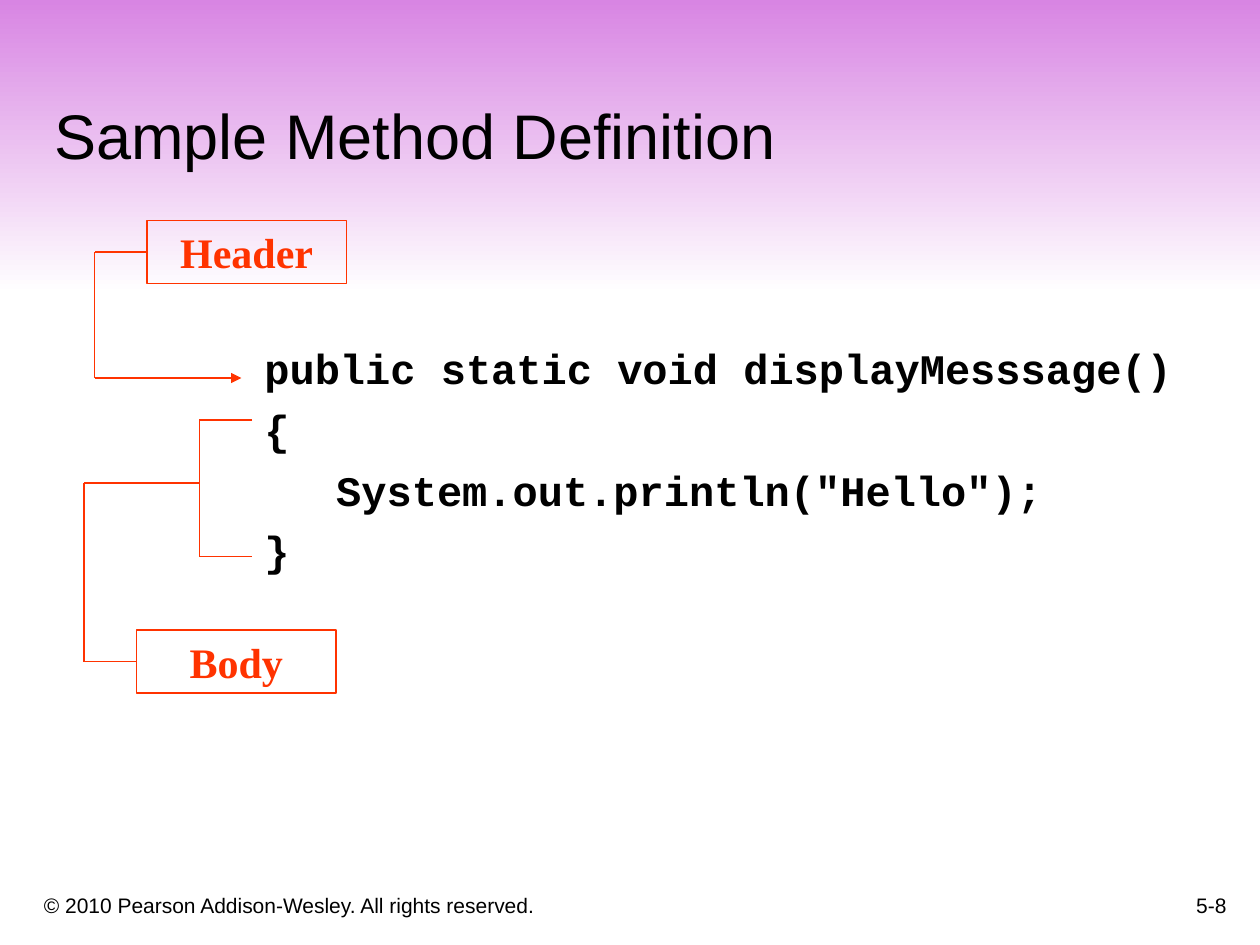
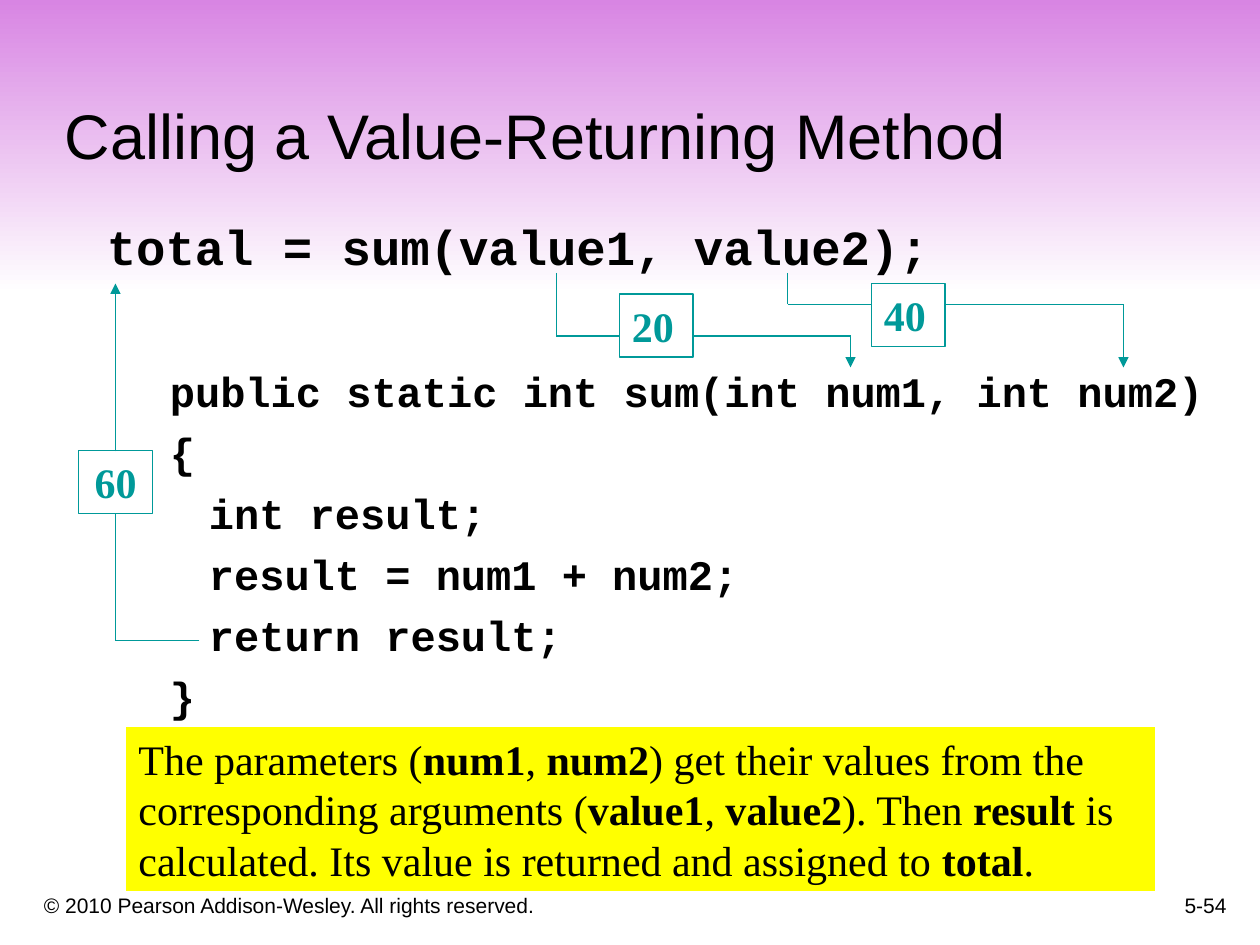
from lxml import etree
from pptx import Presentation
from pptx import util as u
from pptx.dml.color import RGBColor
from pptx.enum import shapes, text
from pptx.oxml import ns

COLORS = {
    "band": "D885E3", "paper": "FFFFFF", "ink": "000000",
    "red": "FF3300", "teal": "009999", "note": "FFFF00",
}
SANS, MONO, SERIF = "Arial", "Courier New", "Times New Roman"
LEFT, CENTER, RIGHT = text.PP_ALIGN.LEFT, text.PP_ALIGN.CENTER, text.PP_ALIGN.RIGHT
TOP, BOTTOM = text.MSO_ANCHOR.TOP, text.MSO_ANCHOR.BOTTOM
LEADING = 1.2

presentation = Presentation()
presentation.slide_width, presentation.slide_height = u.Inches(10), u.Inches(7.5)
# The grid has 120 columns and 90 rows of square cells.
CELL = presentation.slide_width / 120


def add_text(slide, area, lines, font, align=LEFT, anchor=TOP,
             color="ink", outline=None, fill=None):
    """Place lines of (size, space before, indent, [(words, bold), ...]) in a grid area."""
    shape = slide.shapes.add_shape(
        shapes.MSO_SHAPE.RECTANGLE, *[round(cells * CELL) for cells in area])
    shape.shadow.inherit = False
    if fill:
        shape.fill.solid()
        shape.fill.fore_color.rgb = RGBColor.from_string(COLORS[fill])
    else:
        shape.fill.background()
    if outline:
        shape.line.color.rgb = RGBColor.from_string(COLORS[outline])
        shape.line.width = u.Pt(0.75)
    else:
        shape.line.fill.background()
    frame = shape.text_frame
    frame.word_wrap = True
    frame.vertical_anchor = anchor
    for number, (size, before, indent, runs) in enumerate(lines):
        paragraph = frame.add_paragraph() if number else frame.paragraphs[0]
        paragraph.alignment = align
        paragraph.space_before = u.Pt(before)
        paragraph.line_spacing = u.Pt(size * LEADING)
        paragraph._p.get_or_add_pPr().set("marL", str(u.Inches(indent)))
        for words, bold in runs:
            run = paragraph.add_run()
            run.text = words
            run.font.name, run.font.size, run.font.bold = font, u.Pt(size), bold
            run.font.color.rgb = RGBColor.from_string(COLORS[color])


def add_route(slide, points, color, arrow=False):
    """Join grid points with straight lines, the last one with an optional arrowhead."""
    for start, end in zip(points, points[1:]):
        line = slide.shapes.add_connector(
            shapes.MSO_CONNECTOR.STRAIGHT,
            *[round(cells * CELL) for cells in start + end])
        line.line.color.rgb = RGBColor.from_string(COLORS[color])
        line.line.width = u.Pt(0.75)
        if arrow and end == points[-1]:
            etree.SubElement(line.line._get_or_add_ln(), ns.qn("a:tailEnd"), type="triangle")
        etree.SubElement(line._element.spPr, ns.qn("a:effectLst"))


# Shared frame: band, copyright line, page number and title
slides = []
for title, title_area, page in [
    ("Sample Method Definition", (4, 4, 113, 13), "5-8"),
    ("Calling a Value-Returning Method", (5, 2, 102, 15), "5-54"),
]:
    slide = presentation.slides.add_slide(presentation.slide_layouts[6])
    slides.append(slide)
    band = slide.shapes.add_shape(
        shapes.MSO_SHAPE.RECTANGLE, 0, 0, presentation.slide_width, round(28 * CELL))
    band.shadow.inherit = False
    band.line.fill.background()
    band.fill.gradient()
    band.fill.gradient_angle = 270
    for stop, color in zip(band.fill.gradient_stops, ("band", "paper")):
        stop.color.rgb = RGBColor.from_string(COLORS[color])
    add_text(slide, (3, 83, 73, 5),
             [(12, 0, 0, [("© 2010 Pearson Addison-Wesley. All rights reserved.", False)])],
             SANS, anchor=BOTTOM)
    add_text(slide, (93, 82, 25, 6), [(12, 0, 0, [(page, False)])], SANS, RIGHT, BOTTOM)
    add_text(slide, title_area, [(36, 0, 0, [(title, False)])], SANS, anchor=BOTTOM)

definition, call = slides

# Method definition: code, labels and their brackets
add_text(definition, (24, 32, 91, 28), [
    (24, 0, 0, [("public static void displayMesssage()", True)]),
    (24, 6, 0, [("{", True)]),
    (24, 6, 0.57, [('System.out.println("Hello");', True)]),
    (24, 6, 0, [("}", True)]),
], MONO)
for label, column, row in [("Header", 14, 21), ("Body", 13, 60)]:
    add_text(definition, (column, row, 19, 6), [(24, 0, 0, [(label, True)])],
             SERIF, CENTER, color="red", outline="red")
add_route(definition, [(24, 40), (19, 40), (19, 53), (24, 53)], "red")
add_route(definition, [(19, 46), (8, 46), (8, 63), (13, 63)], "red")
add_route(definition, [(14, 24), (9, 24), (9, 36), (23, 36)], "red", arrow=True)

# Method call: code, passed values and explanation
add_text(call, (9, 20, 109.5, 62), [
    (28, 0, 0, [("total = sum(value1, value2);", True)]),
    (24, 52, 0.5, [("public static int sum(int num1, int num2)", True)]),
    (24, 6, 0.5, [("{", True)]),
    (24, 6, 0.81, [("int result;", True)]),
    (24, 6, 0.81, [("result = num1 + num2;", True)]),
    (24, 6, 0.81, [("return result;", True)]),
    (24, 6, 0.5, [("}", True)]),
], MONO)
for value, column, row, align in [
    ("20", 59, 28, LEFT), ("40", 83, 27, LEFT), ("60", 7.5, 42.9, CENTER),
]:
    add_text(call, (column, row, 7, 6), [(24, 0, 0, [(value, True)])],
             SERIF, align, color="teal", outline="teal")
for points, arrow in [
    ([(53, 26), (53, 32), (59, 32)], False),
    ([(66, 32), (81, 32), (81, 35)], True),
    ([(75, 26), (75, 29), (83, 29)], False),
    ([(90, 29), (107, 29), (107, 35)], True),
    ([(19, 61), (11, 61), (11, 49)], False),
    ([(11, 43), (11, 27)], True),
]:
    add_route(call, points, "teal", arrow)
add_text(call, (12, 69.25, 98, 15.6), [(24, 0, 0, [
    ("The parameters (", False), ("num1", True), (", ", False), ("num2", True),
    (") get their values from the corresponding arguments (", False),
    ("value1", True), (", ", False), ("value2", True),
    ("). Then ", False), ("result", True),
    (" is calculated. Its value is returned and assigned to ", False),
    ("total", True), (".", False),
])], SERIF, fill="note")

presentation.save("out.pptx")
